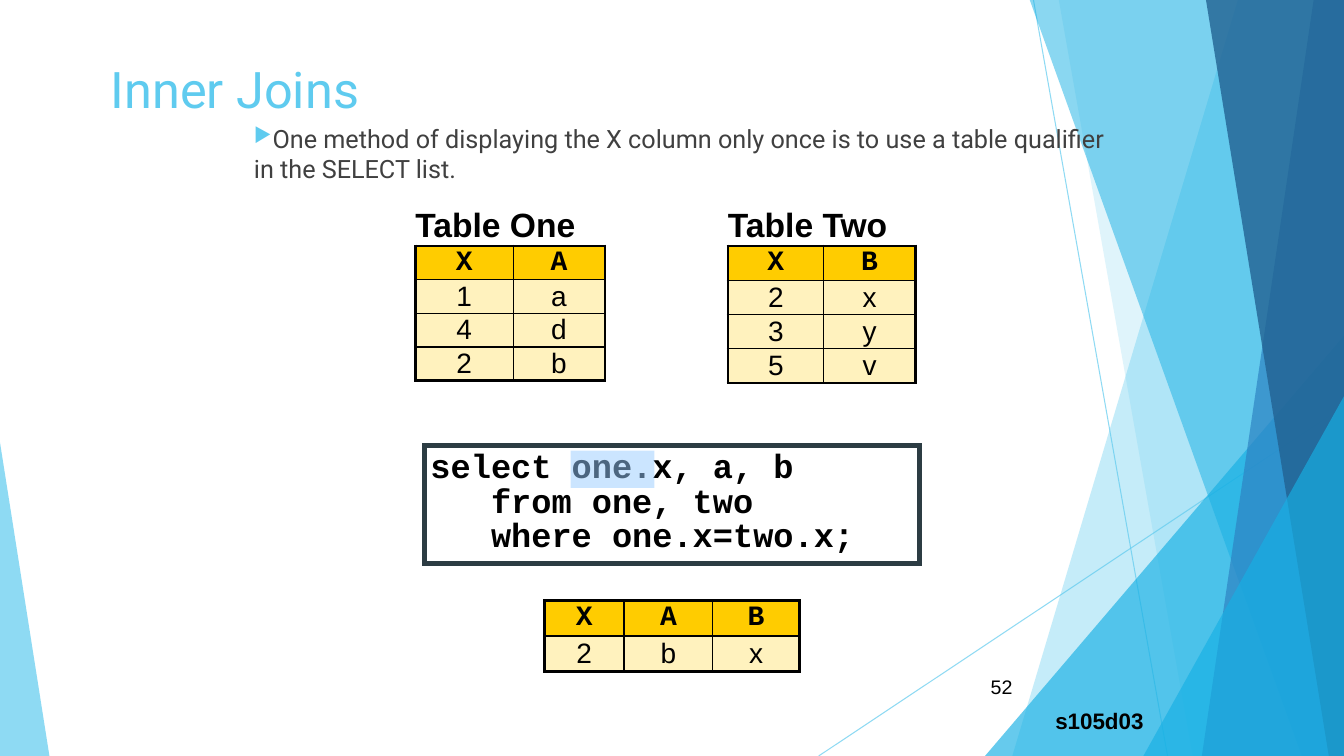
from dataclasses import dataclass
from typing import NamedTuple, Optional
import pptx
import pptx.dml.color
import pptx.enum.shapes
import pptx.enum.text
import pptx.oxml
import pptx.oxml.ns
import pptx.util

Inches = pptx.util.Inches
Align = pptx.enum.text.PP_ALIGN
Anchor = pptx.enum.text.MSO_ANCHOR
Preset = pptx.enum.shapes.MSO_SHAPE
NO_GRID_STYLE = "{2D5ABB26-0587-4C30-8999-92F81FD0307C}"

@dataclass(frozen=True)
class Theme:
    sky: str = "5FCBEF"
    cyan: str = "17B0E4"
    blue: str = "2E83C3"
    navy: str = "226292"
    black: str = "000000"
    white: str = "FFFFFF"
    body_grey: str = "404040"
    header_gold: str = "FFCC00"
    row_cream: str = "FFF2BE"
    code_frame: str = "2C3C43"
    highlight: str = "99CCFF"
    sans: str = "Arial"
    mono: str = "Courier New"
    display: str = "Roboto"
    title_size: float = 36
    lead_size: float = 24
    cell_size: float = 20
    body_size: float = 18
    program_size: float = 16
    number_size: float = 14

THEME = Theme()

class Box(NamedTuple):
    left: float
    top: float
    width: float
    height: float

class Facet(NamedTuple):
    top_left: float
    bottom_right: float
    bottom_left: float
    color: str
    opacity: int

class Wedge(NamedTuple):
    box: Box
    apex: float
    color: str
    opacity: int

class DataTable(NamedTuple):
    left: float
    top: float
    columns: list
    caption_height: float
    row_height: float
    caption: str
    rows: list

RAYS = [(10.25, 0, 11.58, 7.5), (13.33, 4.03, 8.12, 7.5)]
BACKDROP = [
    Facet(12.28, 13.33, 10.04, THEME.sky, 36),
    Facet(10.5, 13.33, 11.83, THEME.sky, 20),
    Wedge(Box(9.77, 3.33, 3.56, 4.17), 1, THEME.cyan, 66),
    Facet(10.21, 13.33, 12.91, THEME.cyan, 50),
    Facet(13.03, 13.33, 11.92, THEME.blue, 70),
    Facet(11.96, 13.33, 13.18, THEME.navy, 80),
    Wedge(Box(11.34, 3.93, 1.99, 3.57), 1, THEME.cyan, 66),
    Wedge(Box(0, 4.39, 0.49, 3.11), 0, THEME.sky, 70),
]
TABLES = [
    DataTable(5.4, 5.55, [0.79, 0.88, 0.86], 0.41, 0.35, "", ["XAB", "2bx"]),
    DataTable(4.12, 2.04, [0.97, 0.91], 0.4, 0.33, "Table One", ["XA", "1a", "4d", "2b"]),
    DataTable(7.22, 2.04, [0.95, 0.91], 0.4, 0.34, "Table Two", ["XB", "2x", "3y", "5v"]),
]
QUERY = ["select one.x, a, b", "   from one, two", "   where one.x=two.x;"]
METHOD = "One method of displaying the X column only once is to use a table qualifier in the SELECT list."

def rgb(color: str) -> pptx.dml.color.RGBColor:
    return pptx.dml.color.RGBColor.from_string(color)

def emu(lengths: tuple) -> list:
    return [Inches(length) for length in lengths]

def element(tag: str, attributes: str = "", content: str = ""):
    namespace = pptx.oxml.ns.nsdecls("a")
    return pptx.oxml.parse_xml(f"<a:{tag} {namespace} {attributes}>{content}</a:{tag}>")

def write(frame, lines: list, *, size: float, font: str = THEME.sans, color: str = THEME.black,
          bold: bool = False, align=Align.LEFT, spacing: Optional[float] = None) -> None:
    for index, line in enumerate(lines):
        paragraph = frame.add_paragraph() if index else frame.paragraphs[0]
        paragraph.alignment = align
        paragraph.line_spacing = spacing
        run = paragraph.add_run()
        run.text = line
        run.font.size = pptx.util.Pt(size)
        run.font.name = font
        run.font.bold = bold
        run.font.color.rgb = rgb(color)

def soften(shape, opacity: int) -> None:
    for color in shape._element.spPr.iter(pptx.oxml.ns.qn("a:srgbClr")):
        color.append(element("alpha", f'val="{opacity * 1000}"'))

def paint(shape, color: str, opacity: int = 100) -> None:
    shape.shadow.inherit = False
    shape.fill.solid()
    shape.fill.fore_color.rgb = rgb(color)
    shape.line.fill.background()
    soften(shape, opacity)

def draw_ray(shapes, ends: tuple) -> None:
    ray = shapes.add_connector(pptx.enum.shapes.MSO_CONNECTOR.STRAIGHT, *emu(ends))
    ray.line.color.rgb = rgb(THEME.sky)
    ray.line.width = pptx.util.Pt(0.75)
    soften(ray, 70)
    ray._element.spPr.append(element("effectLst"))

def draw_facet(shapes, facet: Facet) -> None:
    corners = [(facet.top_left, -0.01), (13.33, -0.01), (facet.bottom_right, 7.5),
               (facet.bottom_left, 7.5)]
    start, *others = [emu(corner) for corner in corners]
    outline = shapes.build_freeform(*start)
    outline.add_line_segments(others, close=True)
    paint(outline.convert_to_shape(), facet.color, facet.opacity)

def draw_wedge(shapes, wedge: Wedge) -> None:
    triangle = shapes.add_shape(Preset.ISOSCELES_TRIANGLE, *emu(wedge.box))
    triangle.adjustments[0] = wedge.apex
    paint(triangle, wedge.color, wedge.opacity)

def add_border(cell, side: str, heavy: bool) -> None:
    color = f'<a:solidFill><a:srgbClr val="{THEME.black}"/></a:solidFill>'
    width = pptx.util.Pt(2.25 if heavy else 1)
    cell._tc.get_or_add_tcPr().append(element(f"ln{side}", f'w="{width}"', color))

def draw_table(shapes, data: DataTable) -> None:
    last_row, last_column = len(data.rows), len(data.columns) - 1
    box = Box(data.left, data.top, sum(data.columns),
              data.caption_height + last_row * data.row_height)
    table = shapes.add_table(last_row + 1, last_column + 1, *emu(box)).table
    table._tbl.tblPr.find(pptx.oxml.ns.qn("a:tableStyleId")).text = NO_GRID_STYLE
    table.first_row = table.horz_banding = False
    for column, width in zip(table.columns, data.columns):
        column.width = Inches(width)
    for index, row in enumerate(table.rows):
        row.height = Inches(data.row_height if index else data.caption_height)
        for position, cell in enumerate(row.cells):
            cell.vertical_anchor = Anchor.MIDDLE
            cell.margin_top = cell.margin_bottom = 0
            cell.margin_left = cell.margin_right = Inches(0.1 if index else 0)
            if index == 0:
                add_border(cell, "B", True)
                cell.fill.background()
                continue
            edges = {"L": position == 0, "R": position == last_column,
                     "T": index == 1, "B": index == last_row}
            for side, heavy in edges.items():
                add_border(cell, side, heavy)
            header = index == 1
            cell.fill.solid()
            cell.fill.fore_color.rgb = rgb(THEME.header_gold if header else THEME.row_cream)
            write(cell.text_frame, [data.rows[index - 1][position]], size=THEME.cell_size,
                  font=THEME.mono if header else THEME.sans, bold=header, align=Align.CENTER)
    caption = table.cell(0, 0)
    caption.merge(table.cell(0, last_column))
    if data.caption:
        write(caption.text_frame, [data.caption], size=THEME.lead_size, bold=True)

def add_textbox(shapes, box: Box, *, wrap: bool = True, anchor=Anchor.TOP):
    frame = shapes.add_textbox(*emu(box)).text_frame
    frame.word_wrap, frame.vertical_anchor = wrap, anchor
    return frame

def draw_heading(slide) -> None:
    title = slide.shapes.title
    title.left, title.top, title.width, title.height = emu(Box(1, 0.5, 12.33, 0.75))
    title.text_frame.vertical_anchor = Anchor.MIDDLE
    write(title.text_frame, ["Inner Joins"], size=THEME.title_size, font=THEME.display, color=THEME.sky)
    slide.shapes._spTree.append(title._element)
    method = add_textbox(slide.shapes, Box(2.42, 1.17, 8.63, 0.9))
    method.margin_right = 0
    method.paragraphs[0]._p.get_or_add_pPr().extend([
        element("buClr", content=f'<a:srgbClr val="{THEME.sky}"/>'),
        element("buSzPct", 'val="80000"'), element("buChar", 'char="▶"')])
    write(method, [METHOD], size=THEME.body_size, font=THEME.display, color=THEME.body_grey)

def draw_query(shapes) -> None:
    query = shapes.add_shape(Preset.RECTANGLE, *emu(Box(4.21, 4.42, 4.91, 1.17)))
    paint(query, THEME.white)
    query.line.color.rgb = rgb(THEME.code_frame)
    query.line.width = pptx.util.Pt(3)
    query.line._get_or_add_ln().append(element("miter", 'lim="800000"'))
    frame = query.text_frame
    frame.vertical_anchor = Anchor.TOP
    frame.margin_left = frame.margin_top = frame.margin_right = frame.margin_bottom = Inches(0.06)
    write(frame, QUERY, size=THEME.lead_size, font=THEME.mono, bold=True, spacing=0.85)

def main() -> None:
    deck = pptx.Presentation()
    deck.slide_width, deck.slide_height = Inches(13.33), Inches(7.5)
    slide = deck.slides.add_slide(deck.slide_layouts[5])
    shapes = slide.shapes
    for ends in RAYS:
        draw_ray(shapes, ends)
    for piece in BACKDROP:
        (draw_facet if isinstance(piece, Facet) else draw_wedge)(shapes, piece)
    draw_heading(slide)
    for data in TABLES:
        draw_table(shapes, data)
    page_number = add_textbox(shapes, Box(9.39, 6.61, 0.75, 0.4), anchor=Anchor.MIDDLE)
    write(page_number, ["52"], size=THEME.number_size, align=Align.RIGHT)
    draw_query(shapes)
    program = add_textbox(shapes, Box(10.37, 6.92, 1.07, 0.46), wrap=False)
    program.margin_left, program.margin_top = 0, Inches(0.1)
    write(program, ["s105d03"], size=THEME.program_size, bold=True, align=Align.RIGHT)
    qualifier = shapes.add_shape(Preset.RECTANGLE, *emu(Box(5.66, 4.47, 0.83, 0.37)))
    paint(qualifier, THEME.highlight, 50)
    deck.save("out.pptx")

if __name__ == "__main__":
    main()
